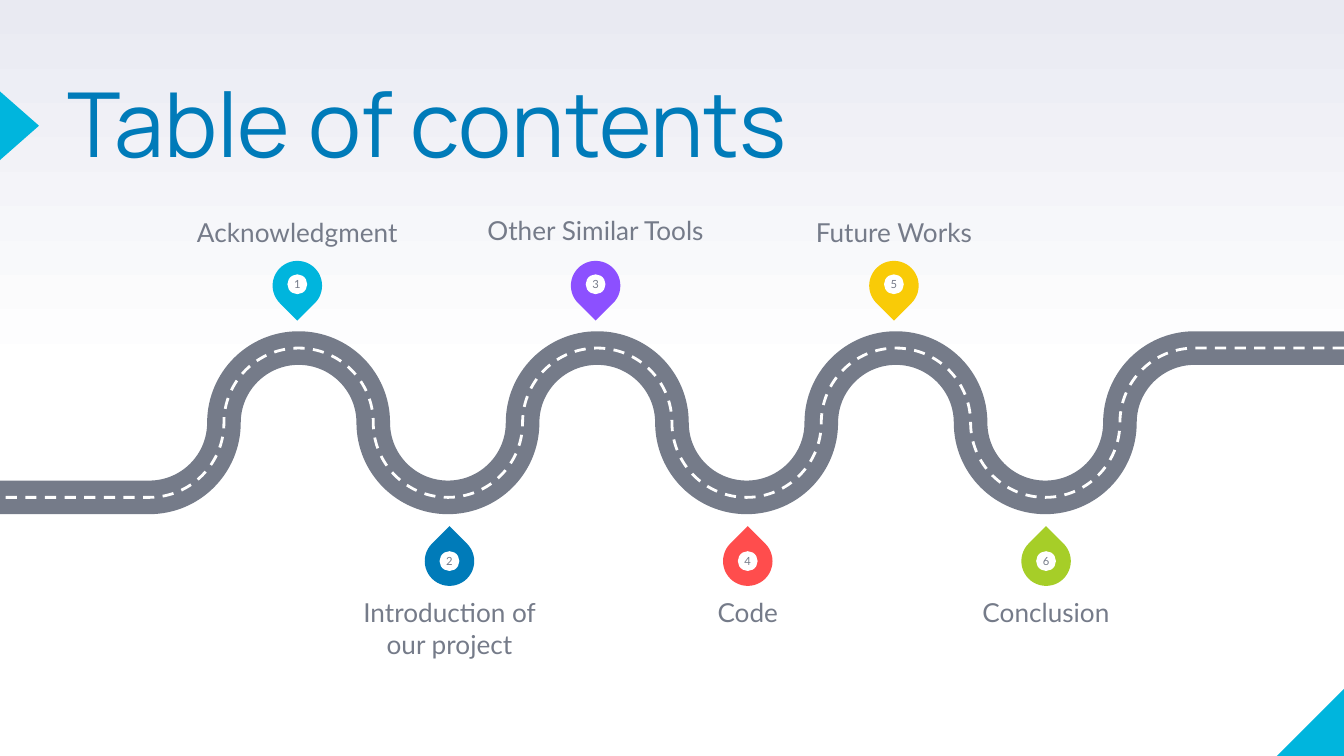
from dataclasses import dataclass

from lxml.etree import SubElement
from pptx import Presentation
from pptx.dml.color import RGBColor
from pptx.enum.dml import MSO_LINE
from pptx.enum.shapes import MSO_SHAPE
from pptx.enum.text import MSO_ANCHOR, PP_ALIGN
from pptx.oxml.ns import qn
from pptx.shapes.autoshape import Shape
from pptx.slide import Slide
from pptx.text.text import TextFrame
from pptx.util import Pt

CYAN, BLUE, GREY, WHITE = "00B5DD", "007BB9", "757B89", "FFFFFF"
SLIDE_WIDTH, SLIDE_HEIGHT = 720, 405
ROAD_TOP, BEND_RADIUS, BEND_COUNT = 186.5, 40, 14
ARC_RATIO = 0.5523  # Bezier handle length for a quarter circle
PIN_SIZE, BADGE_SIZE = 26.5, 10.6
LABEL_HEIGHT = 41.8


@dataclass(frozen=True)
class Box:
    left: float
    top: float
    width: float
    height: float

    def lengths(self) -> tuple[Pt, Pt, Pt, Pt]:
        return Pt(self.left), Pt(self.top), Pt(self.width), Pt(self.height)


@dataclass(frozen=True)
class Side:
    first_x: float
    pin_y: float
    badge_y: float
    label_top: float
    rotation: int
    anchor: MSO_ANCHOR


@dataclass(frozen=True)
class Stop:
    label: str
    colour: str
    label_width: float = 101.5
    label_shift: float = 0


ABOVE = Side(159.3, 153, 152.3, 90.9, 135, MSO_ANCHOR.BOTTOM)
BELOW = Side(240.8, 300.6, 300.6, 319.7, 315, MSO_ANCHOR.TOP)
STOP_GAP = 159.8

STOPS = [
    Stop("Acknowledgment", CYAN, 108),
    Stop("Introduction of our project", BLUE),
    Stop("Other Similar Tools", "8C50FF", 116, -1),
    Stop("Code", "FF4D4D"),
    Stop("Future Works", "F9CB07"),
    Stop("Conclusion", "A6CE28"),
]


def rgb(colour: str) -> RGBColor:
    return RGBColor.from_string(colour)


def centred_box(x: float, y: float, size: float) -> Box:
    return Box(x - size / 2, y - size / 2, size, size)


def add_filled_shape(shapes, kind: MSO_SHAPE, box: Box, colour: str,
                     rotation: float = 0) -> Shape:
    shape = shapes.add_shape(kind, *box.lengths())
    shape.shadow.inherit = False
    shape.fill.solid()
    shape.fill.fore_color.rgb = rgb(colour)
    shape.line.fill.background()
    shape.rotation = rotation
    return shape


def write(text_frame: TextFrame, text: str, size: float, font_name: str, colour: str,
          alignment: PP_ALIGN, anchor: MSO_ANCHOR) -> None:
    text_frame.margin_left = text_frame.margin_right = 0
    text_frame.margin_top = text_frame.margin_bottom = 0
    text_frame.word_wrap = True
    text_frame.vertical_anchor = anchor
    text_frame.text = text
    paragraph = text_frame.paragraphs[0]
    paragraph.alignment = alignment
    font = paragraph.runs[0].font
    font.size = Pt(size)
    font.name = font_name
    font.color.rgb = rgb(colour)


def round_bends(shape: Shape) -> None:
    """Turn each diagonal segment of the outline into a quarter circle."""
    path = shape._element.find(".//" + qn("a:path"))
    points = [(int(pt.get("x")), int(pt.get("y"))) for pt in path.iter(qn("a:pt"))]
    leaves_level = True
    for segment, (x0, y0), (x1, y1) in zip(list(path)[1:], points, points[1:]):
        if y0 == y1:
            continue
        run, rise = ARC_RATIO * (x1 - x0), ARC_RATIO * (y1 - y0)
        if leaves_level:
            handles = [(x0 + run, y0), (x1, y1 - rise)]
        else:
            handles = [(x0, y0 + rise), (x1 - run, y1)]
        leaves_level = not leaves_level
        curve = SubElement(path, qn("a:cubicBezTo"))
        for x, y in [*handles, (x1, y1)]:
            SubElement(curve, qn("a:pt"), x=str(round(x)), y=str(round(y)))
        path.replace(segment, curve)


def add_road_line(slide: Slide, colour: str, width: float) -> Shape:
    levels = [0, 1, 2, 1]
    first_bend = SLIDE_WIDTH - 2 * BEND_RADIUS
    vertices = [(first_bend - BEND_RADIUS * bend,
                 ROAD_TOP + BEND_RADIUS * levels[bend % 4])
                for bend in range(BEND_COUNT + 1)]
    vertices.append((0, vertices[-1][1]))
    builder = slide.shapes.build_freeform(Pt(SLIDE_WIDTH), Pt(ROAD_TOP))
    builder.add_line_segments([(Pt(x), Pt(y)) for x, y in vertices], close=False)
    road = builder.convert_to_shape()
    round_bends(road)
    road.shadow.inherit = False
    road.fill.background()
    road.line.color.rgb = rgb(colour)
    road.line.width = Pt(width)
    return road


def add_stop(slide: Slide, index: int, stop: Stop) -> None:
    """Add a numbered pin and its label, odd numbers above the road."""
    side = BELOW if index % 2 else ABOVE
    x = side.first_x + STOP_GAP * (index // 2)
    pin = slide.shapes.add_group_shape()
    add_filled_shape(pin.shapes, MSO_SHAPE.TEAR,
                     centred_box(x, side.pin_y, PIN_SIZE), stop.colour, side.rotation)
    badge = add_filled_shape(pin.shapes, MSO_SHAPE.OVAL,
                             centred_box(x, side.badge_y, BADGE_SIZE), WHITE)
    write(badge.text_frame, str(index + 1), 6, "Lato", GREY,
          PP_ALIGN.CENTER, MSO_ANCHOR.MIDDLE)
    box = Box(x - stop.label_width / 2, side.label_top + stop.label_shift,
              stop.label_width, LABEL_HEIGHT)
    label = slide.shapes.add_textbox(*box.lengths())
    write(label.text_frame, stop.label, 14, "Lato", GREY, PP_ALIGN.CENTER, side.anchor)


def set_background(slide: Slide) -> None:
    fill = slide.background.fill
    fill.gradient()
    fill.gradient_angle = 90
    for stop, position, colour in zip(fill.gradient_stops, (0.5, 1), (WHITE, "E9EAF2")):
        stop.position = position
        stop.color.rgb = rgb(colour)


def main() -> None:
    presentation = Presentation()
    presentation.slide_width = Pt(SLIDE_WIDTH)
    presentation.slide_height = Pt(SLIDE_HEIGHT)
    slide = presentation.slides.add_slide(presentation.slide_layouts[6])
    set_background(slide)

    add_filled_shape(slide.shapes, MSO_SHAPE.RIGHT_TRIANGLE,
                     Box(684, 368.3, 36.7, 36.7), CYAN, 270)
    add_filled_shape(slide.shapes, MSO_SHAPE.ISOSCELES_TRIANGLE,
                     Box(-7.9, 56.9, 36.7, 20.9), CYAN, 90)
    title = slide.shapes.add_textbox(*Box(36, 47.5, 444, 85).lengths())
    write(title.text_frame, "Table of contents", 48, "Manrope", BLUE,
          PP_ALIGN.LEFT, MSO_ANCHOR.TOP)
    title.text_frame.paragraphs[0].line_spacing = 0.8

    add_road_line(slide, GREY, 18)
    centre_line = add_road_line(slide, WHITE, 1.5)
    centre_line.line.dash_style = MSO_LINE.DASH
    for index, stop in enumerate(STOPS):
        add_stop(slide, index, stop)
    presentation.save("out.pptx")


if __name__ == "__main__":
    main()
